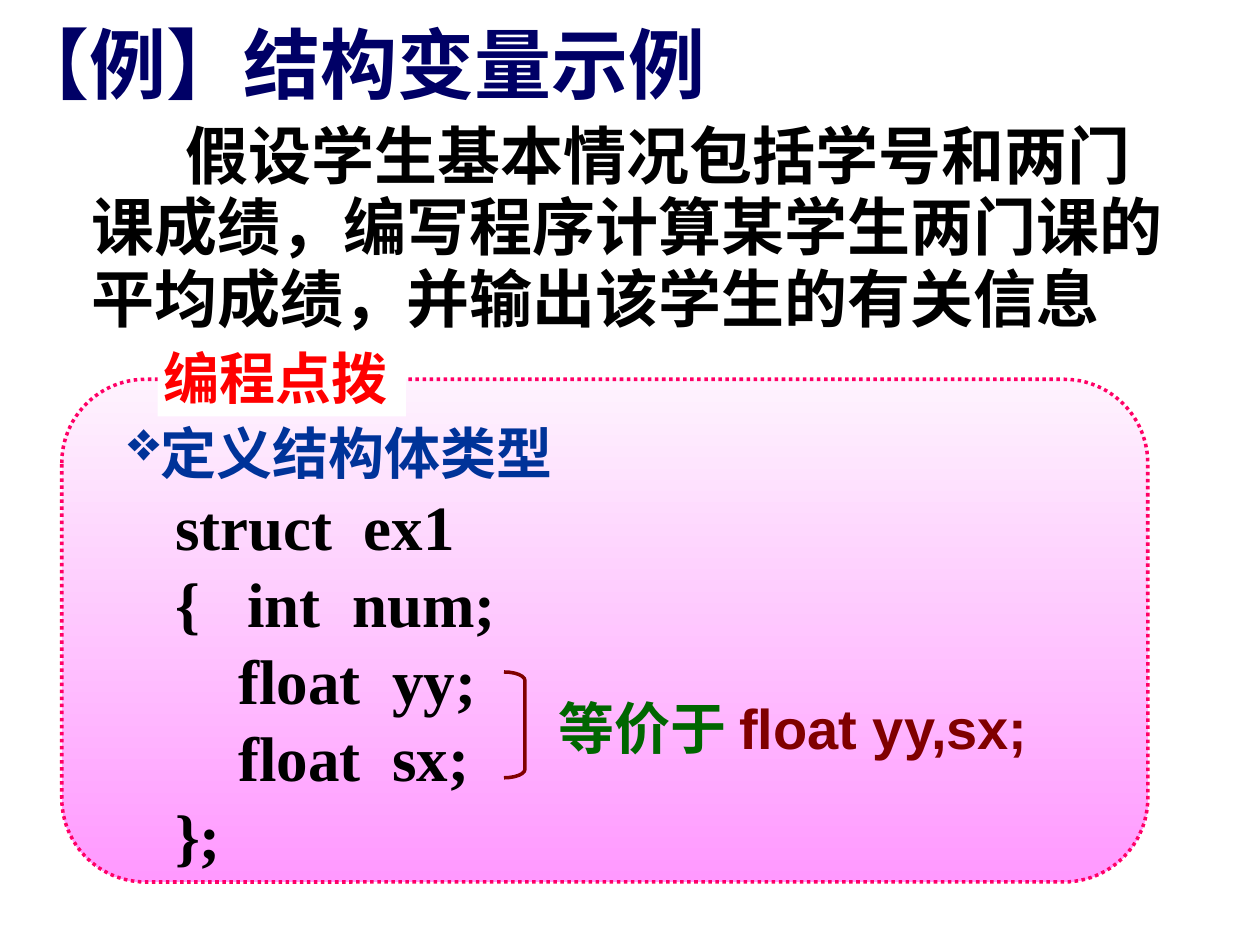
from dataclasses import dataclass

from lxml import etree
from pptx import Presentation
from pptx.dml.color import RGBColor
from pptx.enum.dml import MSO_LINE
from pptx.enum.shapes import MSO_SHAPE
from pptx.enum.text import MSO_ANCHOR, MSO_AUTO_SIZE, PP_ALIGN
from pptx.oxml.ns import qn
from pptx.util import Pt

ROUNDED = MSO_SHAPE.ROUNDED_RECTANGLE
RECTANGLE = MSO_SHAPE.RECTANGLE
BRACKET = MSO_SHAPE.RIGHT_BRACKET
DOTTED = MSO_LINE.ROUND_DOT
TOP, MIDDLE = MSO_ANCHOR.TOP, MSO_ANCHOR.MIDDLE
LEFT, CENTER = PP_ALIGN.LEFT, PP_ALIGN.CENTER
NO_AUTOFIT = MSO_AUTO_SIZE.NONE

CHINESE = "Noto Sans CJK SC"
SERIF = "Times New Roman"
SANS = "Arial"


@dataclass(frozen=True)
class Box:
    left: float
    top: float
    width: float
    height: float

    def lengths(self):
        return Pt(self.left), Pt(self.top), Pt(self.width), Pt(self.height)


@dataclass(frozen=True)
class Line:
    text: str
    size: float
    color: str
    before: float = 0
    bullet: str = ""


CODE = (
    "   struct  ex1",
    "   {   int  num;",
    "       float  yy;",
    "       float  sx;",
    "   };",
)
STEPS = [Line("定义结构体类型", 32, "003399", bullet="❖")] + [
    Line(text, 36, "000000", before=22.5) for text in CODE
]


def rgb(color: str) -> RGBColor:
    return RGBColor.from_string(color)


def add_text(paragraph, text: str, *, size: float, color: str, font: str = SERIF):
    run = paragraph.add_run()
    run.text = text
    run.font.size = Pt(size)
    run.font.bold = True
    run.font.color.rgb = rgb(color)
    run.font.name = font
    properties = run.font._element
    etree.SubElement(properties, qn("a:ea")).set("typeface", CHINESE)


def prepare_frame(shape, *, anchor=TOP, side: float = 7.2):
    frame = shape.text_frame
    frame.word_wrap = True
    frame.auto_size = NO_AUTOFIT
    frame.vertical_anchor = anchor
    frame.margin_left = frame.margin_right = Pt(side)
    frame.margin_top = frame.margin_bottom = Pt(3.6)
    return frame


def add_frame(slide, box: Box):
    return prepare_frame(slide.shapes.add_textbox(*box.lengths()))


def add_plain_shape(slide, kind, box: Box):
    shape = slide.shapes.add_shape(kind, *box.lengths())
    shape.shadow.inherit = False
    return shape


def set_line(shape, color: str):
    shape.line.color.rgb = rgb(color)
    shape.line.width = Pt(2)


def set_indent(paragraph, margin: float, first: float):
    properties = paragraph._p.get_or_add_pPr()
    properties.set("marL", str(Pt(margin)))
    properties.set("indent", str(Pt(first)))


def add_bullet(paragraph, character: str, color: str):
    properties = paragraph._p.get_or_add_pPr()
    bullet_color = etree.SubElement(properties, qn("a:buClr"))
    etree.SubElement(bullet_color, qn("a:srgbClr")).set("val", color)
    etree.SubElement(properties, qn("a:buChar")).set("char", character)


def add_title(slide):
    title = slide.shapes.title
    title.left, title.top, title.width, title.height = Box(0, 0, 444, 72).lengths()
    paragraph = prepare_frame(title, anchor=MIDDLE).paragraphs[0]
    paragraph.alignment = LEFT
    add_text(paragraph, "【例】结构变量示例", size=44, color="000066", font=CHINESE)


def add_panel(slide):
    panel = add_plain_shape(slide, ROUNDED, Box(35.3, 216.7, 620.6, 287.3))
    panel.fill.gradient()
    panel.fill.gradient_angle = 270
    for stop, color in zip(panel.fill.gradient_stops, ("FEF3FE", "FF99FF")):
        stop.color.rgb = rgb(color)
    set_line(panel, "FF0066")
    panel.line.dash_style = DOTTED

    label = add_plain_shape(slide, RECTANGLE, Box(90, 192.5, 142, 45.5))
    label.fill.solid()
    label.fill.fore_color.rgb = rgb("FFFFFF")
    label.line.fill.background()
    paragraph = prepare_frame(label, side=0).paragraphs[0]
    paragraph.alignment = CENTER
    add_text(paragraph, "编程点拨 ", size=32, color="FF0000")


def add_task(slide):
    paragraph = add_frame(slide, Box(18, 66, 660, 156)).paragraphs[0]
    set_indent(paragraph, 27, 54)
    paragraph.line_spacing = 0.95
    task = "假设学生基本情况包括学号和两门课成绩，编写程序计算某学生两门课的平均成绩，并输出该学生的有关信息"
    add_text(paragraph, task, size=36, color="000000")


def add_steps(slide, lines: list[Line]):
    frame = add_frame(slide, Box(66, 252, 564, 247))
    for index, line in enumerate(lines):
        paragraph = frame.add_paragraph() if index else frame.paragraphs[0]
        if line.bullet:
            add_bullet(paragraph, line.bullet, line.color)
        paragraph.line_spacing = 0.5
        paragraph.space_before = Pt(line.before)
        add_text(paragraph, line.text, size=line.size, color=line.color)


def add_equivalent(slide):
    bracket = add_plain_shape(slide, BRACKET, Box(288, 384, 12, 60.5))
    bracket.adjustments[0] = 0.41
    bracket.fill.background()
    set_line(bracket, "800000")

    paragraph = add_frame(slide, Box(312, 392.5, 330, 45.5)).paragraphs[0]
    add_text(paragraph, "等价于 ", size=32, color="006600", font=CHINESE)
    add_text(paragraph, "float yy,sx;", size=32, color="800000", font=SANS)


def main():
    presentation = Presentation()
    presentation.slide_width, presentation.slide_height = Pt(720), Pt(540)
    slide = presentation.slides.add_slide(presentation.slide_layouts[5])
    add_panel(slide)
    add_title(slide)
    add_task(slide)
    add_steps(slide, STEPS)
    add_equivalent(slide)
    presentation.save("out.pptx")


if __name__ == "__main__":
    main()
